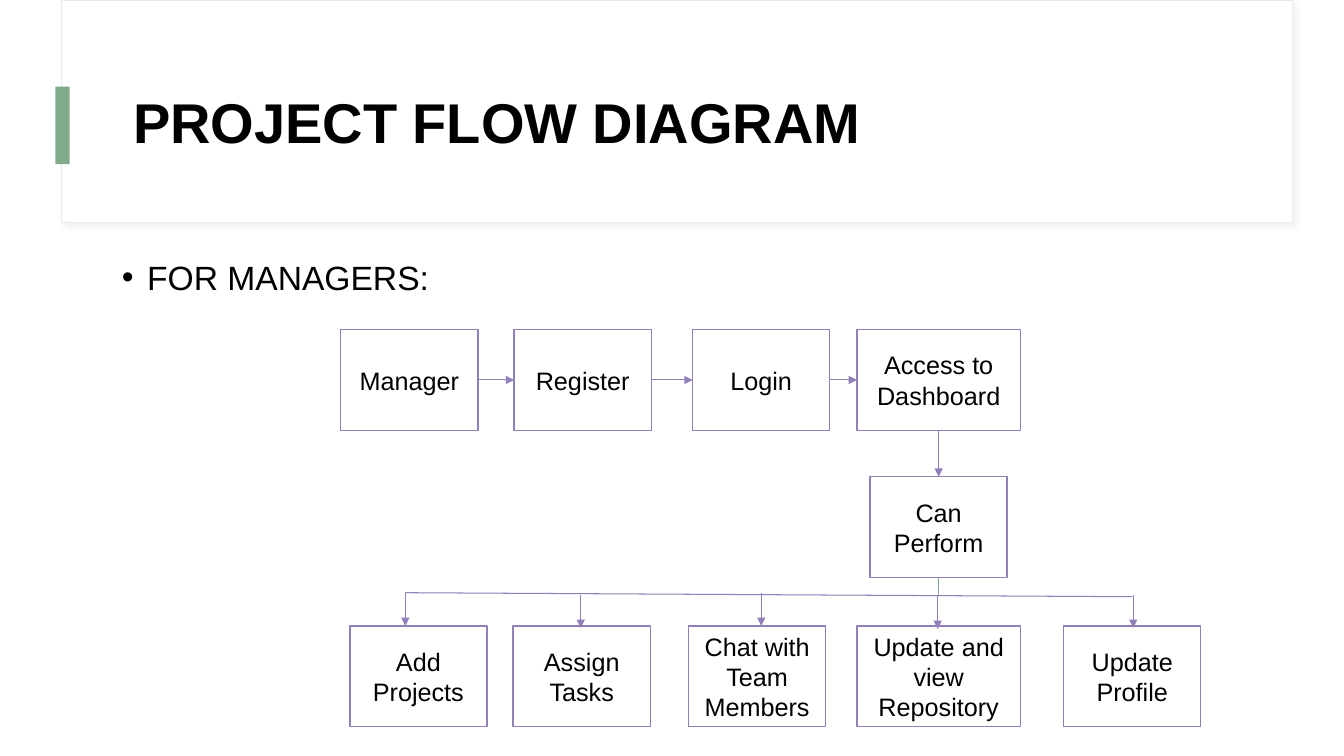
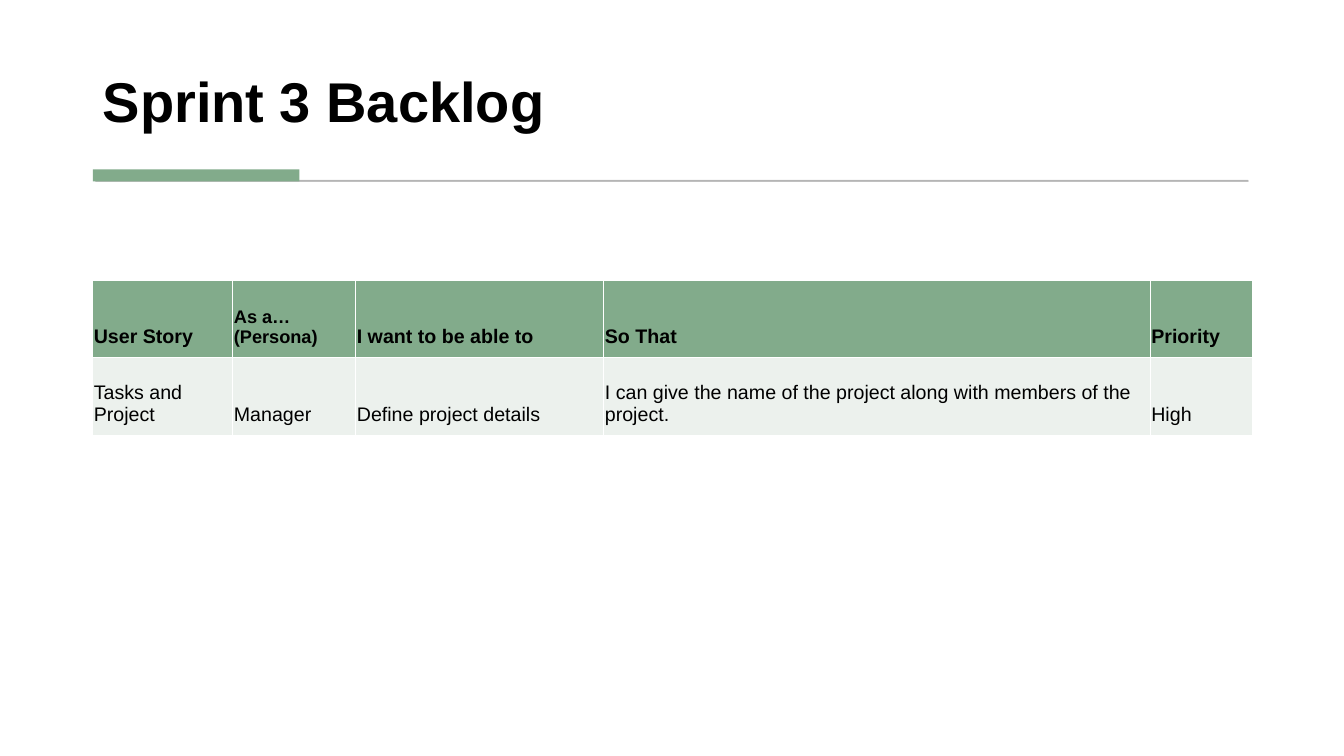
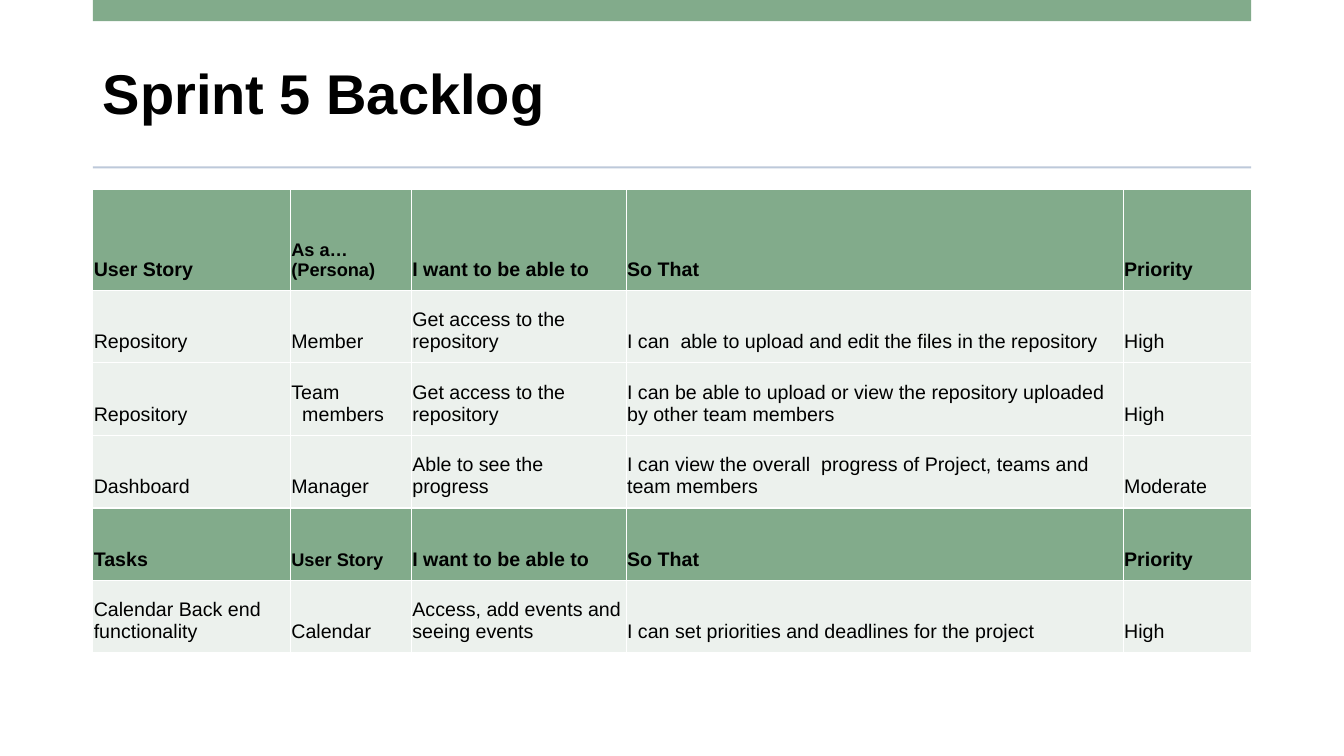
"""Build the project flow diagram slide and two sprint backlog slides."""
from lxml.etree import SubElement
from pptx import Presentation
from pptx.dml.color import RGBColor
from pptx.enum.shapes import MSO_CONNECTOR, MSO_SHAPE
from pptx.enum.text import MSO_ANCHOR, MSO_AUTO_SIZE, PP_ALIGN
from pptx.oxml.ns import qn
from pptx.util import Pt

EMU_PER_PX = 9144
FONT = "Arial"
WHITE, BLACK = "FFFFFF", "000000"
GREEN, PALE_GREEN = "82AB8B", "ECF1ED"
PURPLE, CARD_EDGE = "917FBA", "E3ECF1"
GREY, BLUE_GREY, SHADOW = "595959", "BDC9DA", "D8D8D8"
TOP, LEFT, BOTTOM, RIGHT = range(4)
TITLE_AND_CONTENT, TITLE_ONLY = 1, 5


def px(length):
    return length * EMU_PER_PX


def rgb(code):
    return RGBColor.from_string(code)


class Deck:
    def __init__(self, width, height):
        self.presentation = Presentation()
        self.presentation.slide_width = px(width)
        self.presentation.slide_height = px(height)
        self.slide = None

    def new_slide(self, layout):
        layouts = self.presentation.slide_layouts
        self.slide = self.presentation.slides.add_slide(layouts[layout])

    def style(self, paragraph, size, bold=False):
        font = paragraph.font
        font.name, font.size, font.bold = FONT, Pt(size), bold
        font.color.rgb = rgb(BLACK)

    def fill_placeholder(self, holder, text, at, size, bold, anchor, spacing):
        holder.left, holder.top, holder.width, holder.height = map(px, at)
        frame = holder.text_frame
        frame.text = text
        frame.auto_size = MSO_AUTO_SIZE.NONE
        frame.vertical_anchor = anchor
        paragraph = frame.paragraphs[0]
        paragraph.alignment = PP_ALIGN.LEFT
        paragraph.line_spacing = spacing
        paragraph.space_before = Pt(0)
        self.style(paragraph, size, bold)
        return paragraph

    def title(self, text, at, anchor=MSO_ANCHOR.MIDDLE):
        holder = self.slide.shapes.title
        self.fill_placeholder(holder, text, at, 40, True, anchor, 0.9)
        self.slide.shapes._spTree.append(holder._element)

    def bullet(self, text, at):
        paragraph = self.fill_placeholder(
            self.slide.placeholders[1], text, at, 24, False, MSO_ANCHOR.TOP, 1.1)
        properties = paragraph._p.get_or_add_pPr()
        properties.set("marL", str(px(25)))
        properties.set("indent", str(-px(25)))

    def rect(self, at, fill, line=None, line_width=0.75, opacity=100):
        shape = self.slide.shapes.add_shape(MSO_SHAPE.RECTANGLE, *map(px, at))
        shape.shadow.inherit = False
        shape.fill.solid()
        shape.fill.fore_color.rgb = rgb(fill)
        if line:
            shape.line.color.rgb = rgb(line)
            shape.line.width = Pt(line_width)
        else:
            shape.line.fill.background()
        if opacity < 100:
            for color in shape._element.spPr.iter(qn("a:srgbClr")):
                SubElement(color, qn("a:alpha"), val=str(opacity * 1000))
        return shape

    def card(self, at):
        effects = self.rect(at, WHITE, CARD_EDGE)._element.spPr.find(qn("a:effectLst"))
        shadow = SubElement(effects, qn("a:outerShdw"), blurRad=str(Pt(4)),
                            dist=str(Pt(3)), dir="2700000", algn="tl", rotWithShape="0")
        color = SubElement(shadow, qn("a:srgbClr"), val=SHADOW)
        SubElement(color, qn("a:alpha"), val="30000")

    def step(self, text, left, top, width):
        box = self.rect((left, top, width, 100), WHITE, PURPLE, 1)
        frame = box.text_frame
        frame.text = text
        frame.word_wrap = True
        frame.vertical_anchor = MSO_ANCHOR.MIDDLE
        frame.paragraphs[0].alignment = PP_ALIGN.CENTER
        self.style(frame.paragraphs[0], 18)
        return box

    def line(self, start, end, color=PURPLE, width=0.75, arrow=False):
        connector = self.slide.shapes.add_connector(
            MSO_CONNECTOR.STRAIGHT, *map(px, start + end))
        connector.line.color.rgb = rgb(color)
        connector.line.width = Pt(width)
        if arrow:
            SubElement(connector.line._get_or_add_ln(), qn("a:tailEnd"), type="triangle")
        SubElement(connector._element.spPr, qn("a:effectLst"))
        return connector

    def link(self, source, source_side, target, target_side, width=0.75):
        connector = self.line((0, 0), (0, 0), width=width, arrow=True)
        connector.begin_connect(source, source_side)
        connector.end_connect(target, target_side)

    def cell(self, cell, text, heading, size):
        cell.margin_left = cell.margin_right = cell.margin_top = px(1)
        cell.margin_bottom = px(10)
        cell.vertical_anchor = MSO_ANCHOR.BOTTOM
        cell.text = text
        for paragraph in cell.text_frame.paragraphs:
            self.style(paragraph, size, heading)
        properties = cell._tc.get_or_add_tcPr()
        for side in ("lnL", "lnR", "lnT", "lnB"):
            border = SubElement(properties, qn(f"a:{side}"), w=str(Pt(1)))
            SubElement(SubElement(border, qn("a:solidFill")), qn("a:srgbClr"), val=WHITE)
        cell.fill.solid()
        cell.fill.fore_color.rgb = rgb(GREEN if heading else PALE_GREEN)

    def backlog(self, top, widths, heights, rows, heading_rows):
        table = self.slide.shapes.add_table(
            len(rows), len(widths), px(92), px(top), px(sum(widths)), px(sum(heights))).table
        table.first_row = table.horz_banding = False
        for column, width in zip(table.columns, widths):
            column.width = px(width)
        for r, (height, texts) in enumerate(zip(heights, rows)):
            table.rows[r].height = px(height)
            heading = r in heading_rows
            for c, text in enumerate(texts):
                self.cell(table.cell(r, c), text, heading, 13 if heading and c == 1 else 14)


STORY_HEADINGS = ("User Story", "As a… (Persona)", "I want to be able to", "So That", "Priority")
TASK_HEADINGS = ("Tasks", "User Story") + STORY_HEADINGS[2:]


def flow_slide(deck):
    deck.new_slide(TITLE_AND_CONTENT)
    deck.card((61, 0, 1221, 221))
    deck.rect((55, 86, 14, 77), GREEN)
    deck.title("PROJECT FLOW DIAGRAM", (122, 60, 1112, 129))
    deck.bullet("FOR MANAGERS:", (111, 246, 1112, 491))

    entry = [deck.step(text, left, 327, width) for text, left, width in (
        ("Manager", 338, 136), ("Register", 510, 136),
        ("Login", 687, 136), ("Access to Dashboard", 850, 162))]
    for source, target in zip(entry, entry[1:]):
        deck.link(source, RIGHT, target, LEFT)
    perform = deck.step("Can Perform", 863, 473, 136)
    deck.link(entry[-1], BOTTOM, perform, TOP, width=1)

    deck.line((931, 573), (931, 591), GREEN)
    deck.line((402, 588), (1123, 592))
    for text, left, width, drop_x, drop_top in (
            ("Add Projects", 347, 136, 402, 588),
            ("Assign Tasks", 509, 136, 576, 590),
            ("Chat with Team Members", 683, 136, 755, 588),
            ("Update and view Repository", 850, 162, 930, 591),
            ("Update Profile", 1055, 136, 1124, 590)):
        deck.step(text, left, 621, width)
        deck.line((drop_x, drop_top), (drop_x, drop_top + 33), arrow=True)


def sprint_3_slide(deck):
    deck.new_slide(TITLE_ONLY)
    deck.title("Sprint 3 Backlog", (92, 28, 1149, 111), MSO_ANCHOR.BOTTOM)
    deck.rect((95, 179, 1143, 1), GREY, GREY, opacity=30)
    deck.rect((92, 168, 205, 12), GREEN)
    deck.backlog(278, (139, 122, 246, 542, 101), (77, 77), (
        STORY_HEADINGS,
        ("Tasks and Project", "Manager", "Define project details",
         "I can give the name of the project along with members of the project.", "High"),
    ), heading_rows={0})


def sprint_5_slide(deck):
    deck.new_slide(TITLE_ONLY)
    deck.title("Sprint 5 Backlog", (92, 37, 1149, 118))
    deck.rect((92, 0, 1149, 21), GREEN)
    deck.rect((92, 165, 1149, 2), BLUE_GREY)
    deck.backlog(188, (196, 120, 213, 493, 127), (100,) + (72,) * 5, (
        STORY_HEADINGS,
        ("Repository", "Member", "Get access to the repository",
         "I can  able to upload and edit the files in the repository", "High"),
        ("Repository", "Team\n  members", "Get access to the repository",
         "I can be able to upload or view the repository uploaded by other team members", "High"),
        ("Dashboard", "Manager", "Able to see the progress",
         "I can view the overall  progress of Project, teams and team members", "Moderate"),
        TASK_HEADINGS,
        ("Calendar Back end functionality", "Calendar", "Access, add events and seeing events",
         "I can set priorities and deadlines for the project", "High"),
    ), heading_rows={0, 4})


def main():
    deck = Deck(1333, 750)
    flow_slide(deck)
    sprint_3_slide(deck)
    sprint_5_slide(deck)
    deck.presentation.save("out.pptx")


if __name__ == "__main__":
    main()
